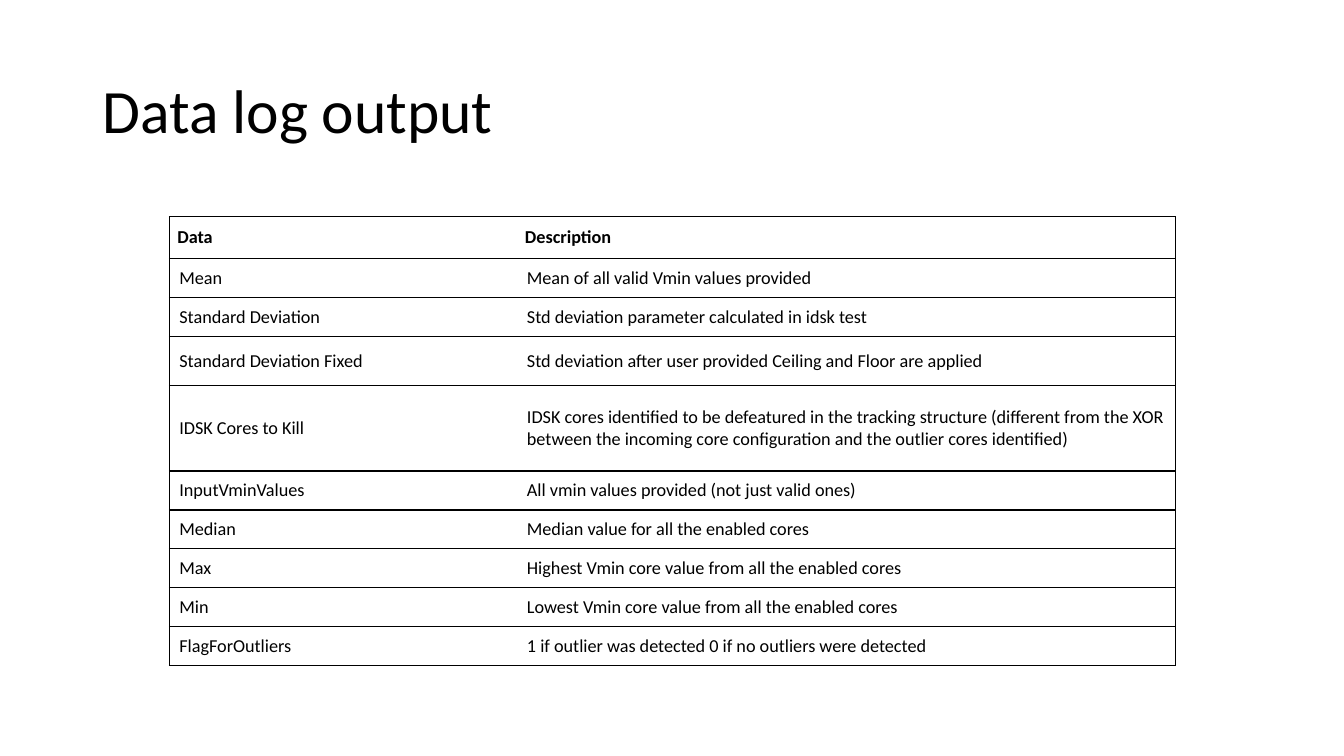
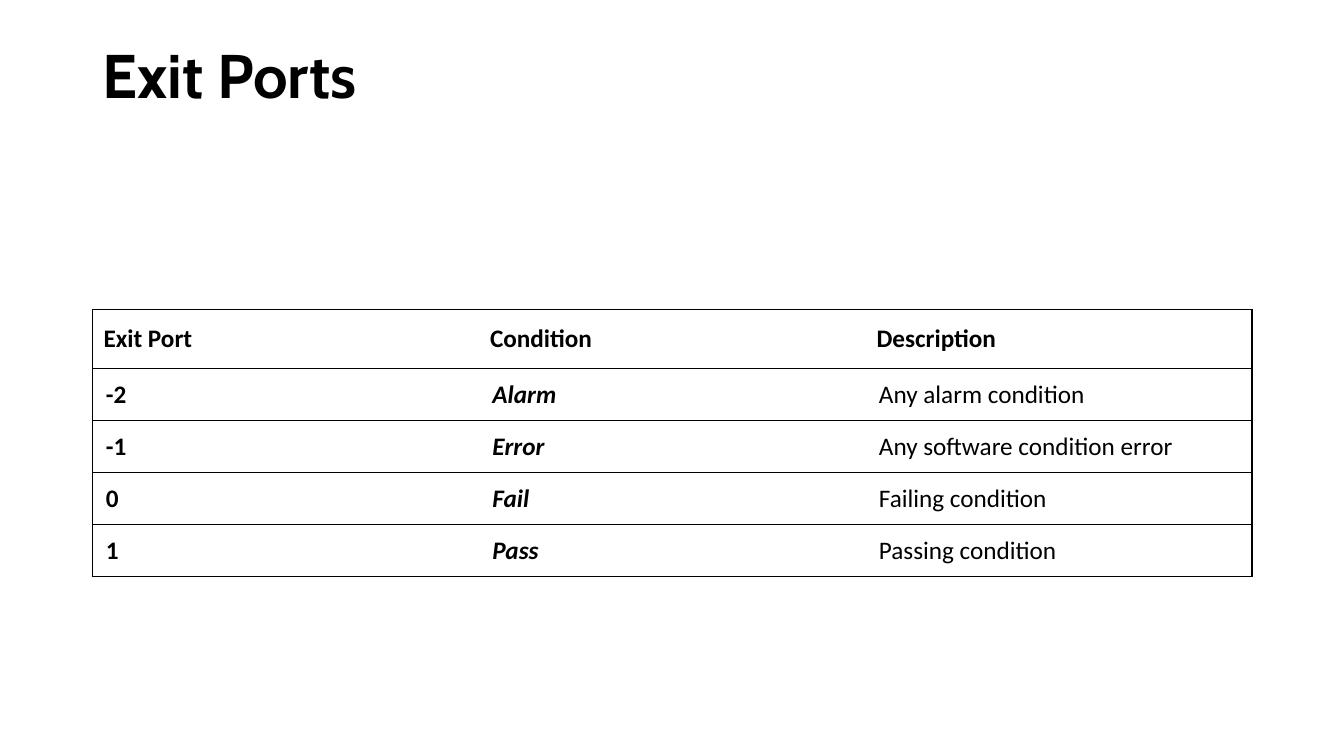
from dataclasses import dataclass

from lxml import etree
from pptx import Presentation
from pptx.dml.color import RGBColor
from pptx.enum.text import MSO_ANCHOR
from pptx.oxml.ns import qn
from pptx.util import Cm, Pt

TOP = MSO_ANCHOR.TOP
MIDDLE = MSO_ANCHOR.MIDDLE
BLANK_LAYOUT = 6


@dataclass(frozen=True)
class Theme:
    ink: str = "000000"
    paper: str = "FFFFFF"
    body_font: str = "Calibri"
    accent_font: str = "Cabin"
    title_size: int = 44
    log_size: int = 13
    port_size: int = 18
    border_width: int = 1


@dataclass(frozen=True)
class TableStyle:
    size: int
    header_insets: tuple
    body_insets: tuple
    body_formats: tuple


THEME = Theme()
TITLE_BOX = (2.33, 1.02, 29.21, 3.68)
LOG_STYLE = TableStyle(THEME.log_size, (0.2, 0.25), (0.25, 0.18), ({}, {}))
PORT_STYLE = TableStyle(
    THEME.port_size, (0.28, 0.36), (0.34, 0.25),
    ({"bold": True}, {"bold": True, "italic": True}, {}),
)

LOG_ROWS = [
    ("Data", "Description"),
    ("Mean", "Mean of all valid Vmin values provided"),
    ("Standard Deviation", "Std deviation parameter calculated in idsk test"),
    ("Standard Deviation Fixed",
     "Std deviation after user provided Ceiling and Floor are applied"),
    ("IDSK Cores to Kill",
     "IDSK cores identified to be defeatured in the tracking structure "
     "(different from the XOR between the incoming core configuration "
     "and the outlier cores identified)"),
    ("InputVminValues", "All vmin values provided (not just valid ones)"),
    ("Median", "Median value for all the enabled cores"),
    ("Max", "Highest Vmin core value from all the enabled cores"),
    ("Min", "Lowest Vmin core value from all the enabled cores"),
    ("FlagForOutliers", "1 if outlier was detected 0 if no outliers were detected"),
]

PORT_ROWS = [
    ("Exit Port", "Condition", "Description"),
    ("-2", "Alarm", "Any alarm condition"),
    ("-1", "Error", "Any software condition error"),
    ("0", "Fail", "Failing condition"),
    ("1", "Pass", "Passing condition"),
]


def write_text(frame, text, *, size, font=THEME.body_font, bold=False,
               italic=False, line_spacing=None):
    frame.word_wrap = True
    paragraph = frame.paragraphs[0]
    paragraph.line_spacing = line_spacing
    run = paragraph.add_run()
    run.text = text
    run.font.name = font
    run.font.size = Pt(size)
    run.font.bold = bold
    run.font.italic = italic
    run.font.color.rgb = RGBColor.from_string(THEME.ink)


def add_title(slide, text, box, anchor=MIDDLE, **text_format):
    frame = slide.shapes.add_textbox(*map(Cm, box)).text_frame
    write_text(frame, text, size=THEME.title_size, line_spacing=0.9, **text_format)
    frame.vertical_anchor = anchor


def set_borders(cell, drawn_sides):
    properties = cell._tc.get_or_add_tcPr()
    for side in "LRTB":
        line = etree.SubElement(properties, qn(f"a:ln{side}"))
        if side in drawn_sides:
            line.set("w", str(Pt(THEME.border_width)))
            fill = etree.SubElement(line, qn("a:solidFill"))
            etree.SubElement(fill, qn("a:srgbClr")).set("val", THEME.ink)
        else:
            etree.SubElement(line, qn("a:noFill"))


def format_cell(cell, text, insets, drawn_sides, **text_format):
    set_borders(cell, drawn_sides)
    cell.fill.solid()
    cell.fill.fore_color.rgb = RGBColor.from_string(THEME.paper)
    horizontal, vertical = map(Cm, insets)
    cell.margin_left = cell.margin_right = horizontal
    cell.margin_top = cell.margin_bottom = vertical
    cell.vertical_anchor = MIDDLE
    write_text(cell.text_frame, text, **text_format)


def add_ruled_table(slide, rows, left, top, widths, heights, style):
    table = slide.shapes.add_table(
        len(rows), len(widths), Cm(left), Cm(top), Cm(sum(widths)), Cm(sum(heights))
    ).table
    table.first_row = False
    table.horz_banding = False
    for column, width in zip(table.columns, widths):
        column.width = Cm(width)
    for row, height in zip(table.rows, heights):
        row.height = Cm(height)
    last_column = len(widths) - 1
    for row_index, texts in enumerate(rows):
        is_header = row_index == 0
        insets = style.header_insets if is_header else style.body_insets
        for column_index, text in enumerate(texts):
            sides = "TB"
            if column_index == 0:
                sides += "L"
            if column_index == last_column:
                sides += "R"
            text_format = {"bold": True} if is_header else style.body_formats[column_index]
            format_cell(table.cell(row_index, column_index), text, insets, sides,
                        size=style.size, **text_format)


def add_blank_slide(presentation):
    return presentation.slides.add_slide(presentation.slide_layouts[BLANK_LAYOUT])


def build_data_log(presentation):
    slide = add_blank_slide(presentation)
    add_title(slide, "Data log output", TITLE_BOX)
    heights = [1.06, 0.98, 0.98, 1.24, 2.15] + [0.98] * 5
    add_ruled_table(slide, LOG_ROWS, 4.27, 5.46, [8.76, 16.59], heights, LOG_STYLE)


def build_exit_ports(presentation):
    slide = add_blank_slide(presentation)
    add_title(slide, "Exit Ports", TITLE_BOX, anchor=TOP,
              font=THEME.accent_font, bold=True)
    heights = [1.46] + [1.31] * 4
    add_ruled_table(slide, PORT_ROWS, TITLE_BOX[0], 7.8, [9.74] * 3, heights, PORT_STYLE)


def main():
    presentation = Presentation()
    presentation.slide_width = Cm(33.87)
    presentation.slide_height = Cm(19.05)
    build_data_log(presentation)
    build_exit_ports(presentation)
    presentation.save("out.pptx")


if __name__ == "__main__":
    main()
